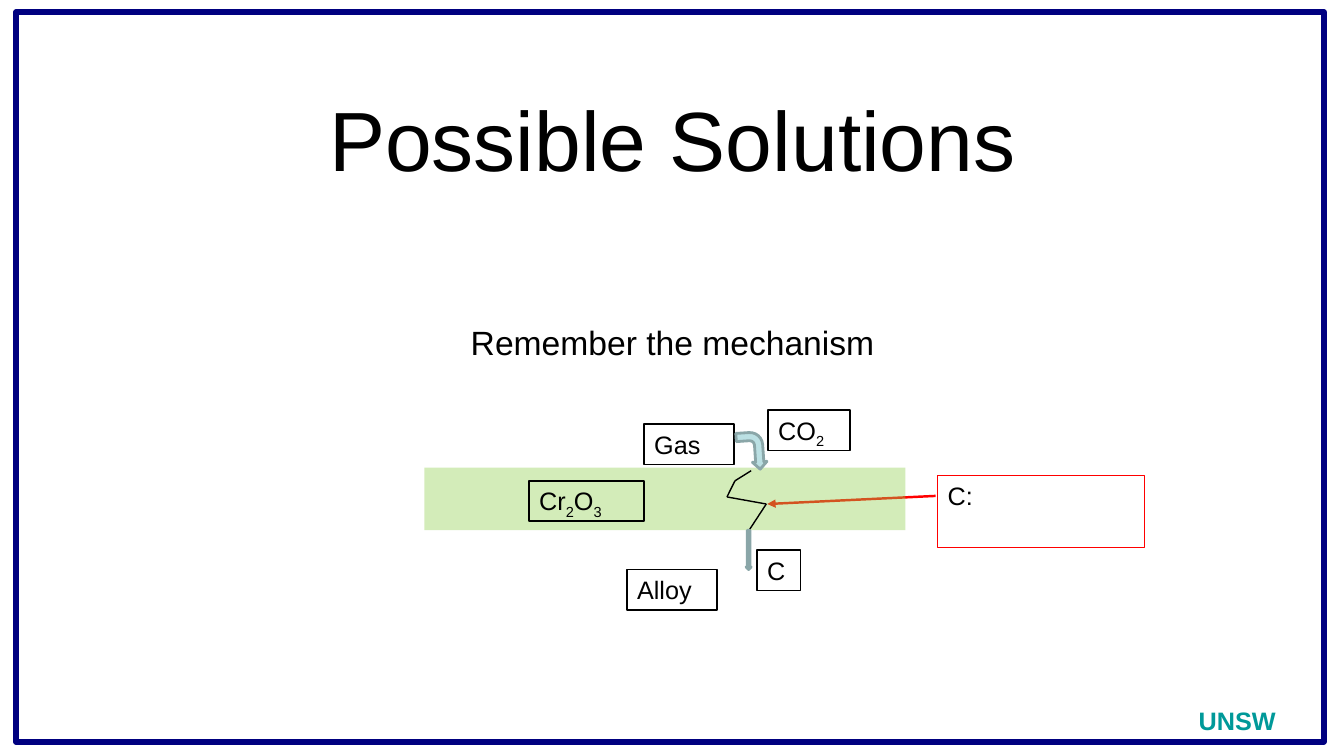
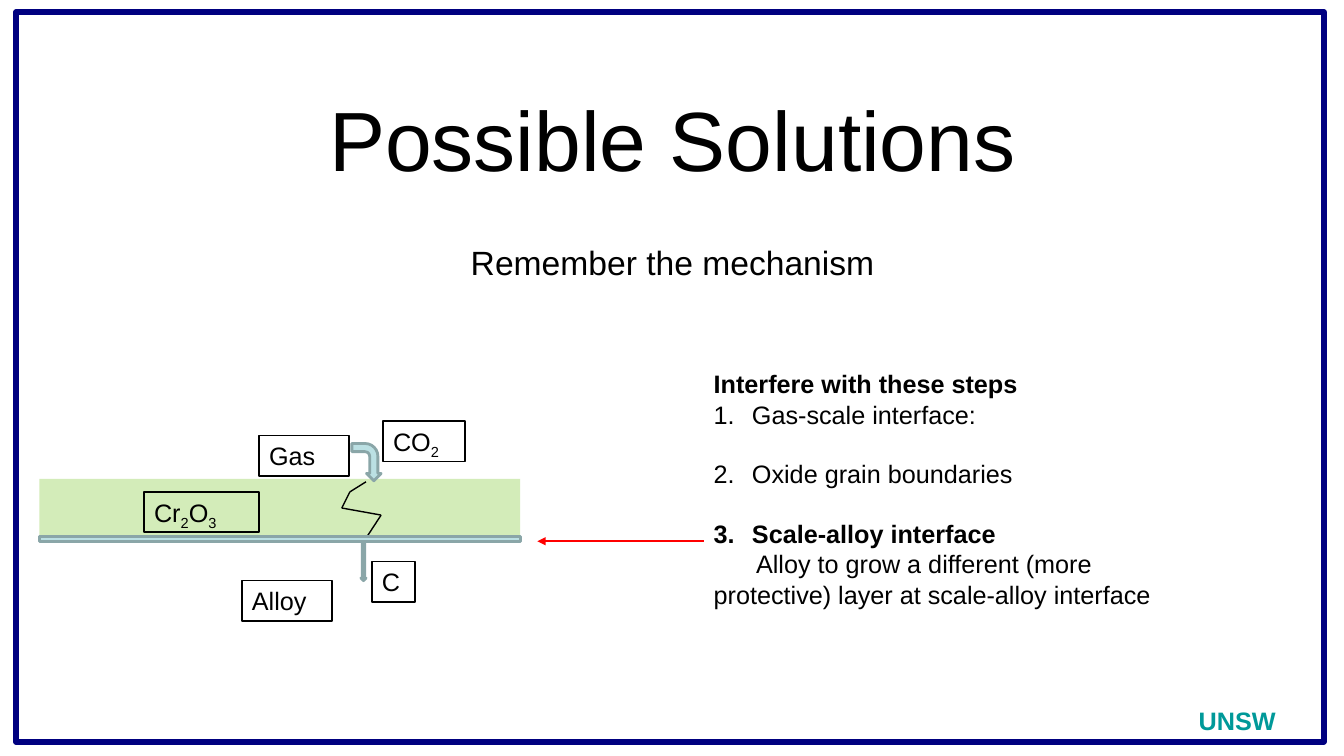
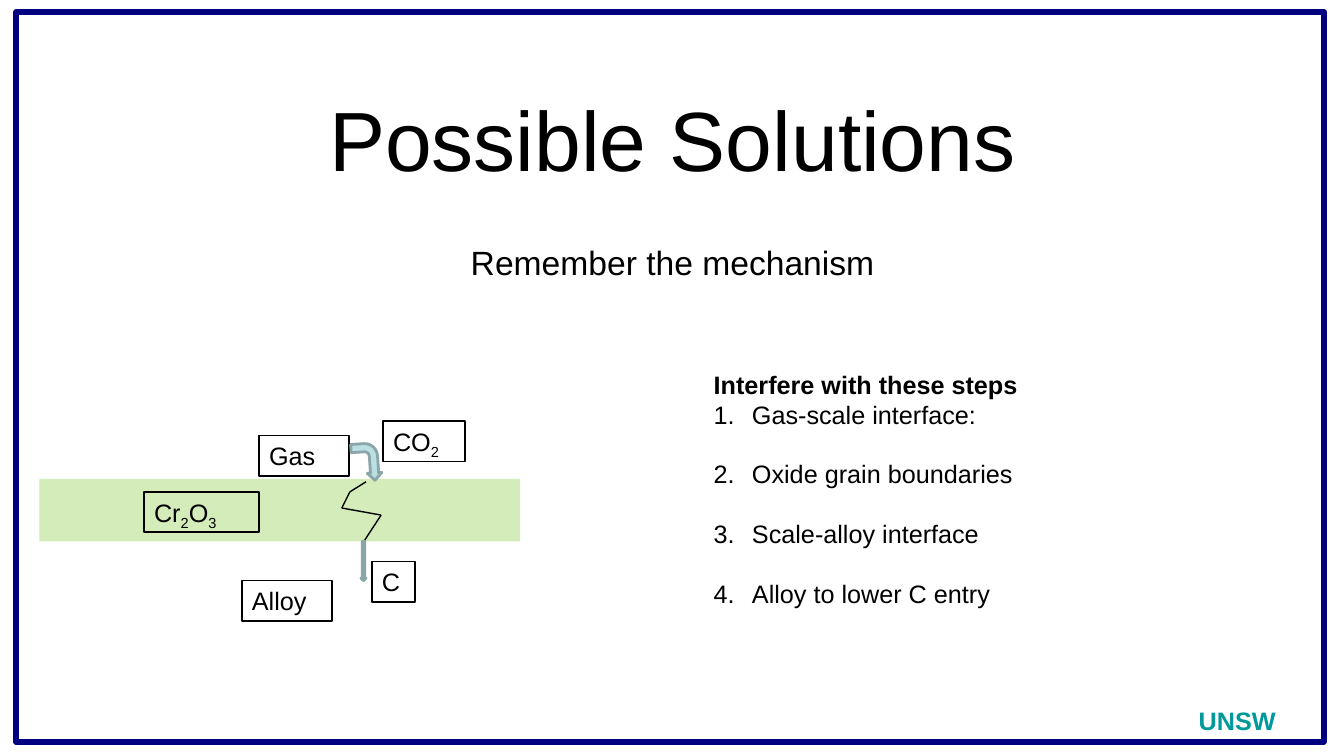
import itertools

import lxml.etree
import pptx
import pptx.dml.color
import pptx.enum.shapes
import pptx.enum.text
import pptx.oxml.ns
import pptx.util

Inches, Pt = pptx.util.Inches, pptx.util.Pt
SHAPE = pptx.enum.shapes.MSO_SHAPE
ALIGN = pptx.enum.text.PP_ALIGN
ANCHOR = pptx.enum.text.MSO_ANCHOR

FONT = "Arial"
BLACK, RED, NAVY, TEAL = "000000", "FF0000", "000080", "009999"
GREEN, PALE_BLUE, GREY_BLUE = "92D050", "BBE0E3", "8AA6A8"
BAND_W, BAND_H = 4.77, 0.62
LABEL_H = 0.4
LINE_GAP = 21


def rgb(hex_text):
    return pptx.dml.color.RGBColor.from_string(hex_text)


def add_xml(parent, tag, **attributes):
    child = lxml.etree.SubElement(parent, pptx.oxml.ns.qn(tag))
    for name, value in attributes.items():
        child.set(name, str(value))
    return child


def style_run(r, size=18, color=BLACK, bold=False):
    r.font.name, r.font.size, r.font.bold = FONT, Pt(size), bold
    r.font.color.rgb = rgb(color)


def add_box(shapes, kind, x, y, w, h, fill=None, line=None, width=1.0):
    sp = shapes.add_shape(kind, Inches(x), Inches(y), Inches(w), Inches(h))
    sp.shadow.inherit = False
    if fill:
        sp.fill.solid()
        sp.fill.fore_color.rgb = rgb(fill)
    else:
        sp.fill.background()
    if line:
        sp.line.color.rgb = rgb(line)
        sp.line.width = Pt(width)
    else:
        sp.line.fill.background()
    return sp


def add_line(shapes, start, end, color=BLACK, width=1.0, arrow=False):
    x1, y1, x2, y2 = map(Inches, (*start, *end))
    cn = shapes.add_connector(pptx.enum.shapes.MSO_CONNECTOR.STRAIGHT, x1, y1, x2, y2)
    cn.line.color.rgb = rgb(color)
    cn.line.width = Pt(width)
    if arrow:
        add_xml(cn.line._get_or_add_ln(), "a:tailEnd", type="triangle")
    add_xml(cn._element.spPr, "a:effectLst")


def add_text(s, text, x, y, w, h, size, color=BLACK, bold=False,
             align=ALIGN.LEFT, anchor=ANCHOR.TOP):
    tf = s.shapes.add_textbox(Inches(x), Inches(y), Inches(w), Inches(h)).text_frame
    tf.word_wrap = True
    tf.vertical_anchor = anchor
    p = tf.paragraphs[0]
    p.text = text
    p.alignment = align
    style_run(p.runs[0], size, color, bold)


def add_label(shapes, text, x, y, w, h=LABEL_H, line=BLACK, width=1.25):
    """Outlined label whose digits are set as subscripts."""
    sp = add_box(shapes, SHAPE.RECTANGLE, x, y, w, h, line=line, width=width)
    tf = sp.text_frame
    tf.word_wrap = True
    tf.vertical_anchor = ANCHOR.TOP
    p = tf.paragraphs[0]
    p.alignment = ALIGN.LEFT
    for is_digit, chars in itertools.groupby(text, str.isdigit):
        r = p.add_run()
        r.text = "".join(chars)
        style_run(r)
        if is_digit:
            r._r.get_or_add_rPr().set("baseline", "-25000")


def add_base_slide(prs, subtitle_top):
    s = prs.slides.add_slide(prs.slide_layouts[6])
    add_box(s.shapes, SHAPE.RECTANGLE, 0.16, 0.12, 12.97, 7.24, line=NAVY, width=4)
    add_text(s, "UNSW", 11.79, 6.95, 1.37, 0.4, 18, TEAL, bold=True)
    add_text(s, "Possible Solutions", 1.17, 0.73, 11, 1.19, 60,
             align=ALIGN.CENTER, anchor=ANCHOR.BOTTOM)
    add_text(s, "Remember the mechanism", 1.67, subtitle_top, 10, 1.81, 24,
             align=ALIGN.CENTER)
    return s


def add_mechanism(s, x, y, bend=86.1):
    """Gas, oxide scale and alloy, with the oxide band's corner at x, y."""
    shapes = s.shapes.add_group_shape().shapes
    band = add_box(shapes, SHAPE.RECTANGLE, x, y, BAND_W, BAND_H, fill=GREEN)
    color = band._element.spPr.find(".//" + pptx.oxml.ns.qn("a:srgbClr"))
    add_xml(color, "a:alpha", val=40000)

    for text, dx, dy, w in (("Cr2O3", 1.04, 0.13, 1.14), ("Gas", 2.18, -0.43, 0.89),
                            ("Alloy", 2.01, 1.01, 0.89), ("CO2", 3.41, -0.57, 0.81),
                            ("C", 3.3, 0.82, 0.43)):
        add_label(shapes, text, x + dx, y + dy, w)

    gas_arrow = add_box(shapes, SHAPE.BENT_ARROW, x + 3.06, y - 0.31, 0.37, 0.29,
                        PALE_BLUE, GREY_BLUE, 2)
    gas_arrow.rotation = bend
    for i, value in enumerate((0.28, 0.25, 0.25, 0.44)):
        gas_arrow.adjustments[i] = value

    crack = [(x + dx, y + dy) for dx, dy in
             ((3.24, 0.03), (3.08, 0.13), (3, 0.29), (3.39, 0.36), (3.22, BAND_H))]
    for start, end in zip(crack, crack[1:]):
        add_line(shapes, start, end)
    add_box(shapes, SHAPE.DOWN_ARROW, x + 3.19, y + BAND_H, 0.05, 0.39,
            PALE_BLUE, GREY_BLUE, 2)


def add_steps(s, x, y, w, h, steps, bold_step=None, detail=None):
    """Heading, numbered steps and an optional closing detail."""
    tf = s.shapes.add_textbox(Inches(x), Inches(y), Inches(w), Inches(h)).text_frame
    tf.word_wrap = True
    p = tf.paragraphs[0]
    p.text = "Interfere with these steps"
    style_run(p.runs[0], bold=True)
    for i, step in enumerate(steps):
        p = tf.add_paragraph()
        p.text = step
        p.space_before = Pt(LINE_GAP if i else 0)
        pPr = p._p.get_or_add_pPr()
        pPr.set("marL", str(Inches(0.38)))
        pPr.set("indent", str(-Inches(0.38)))
        add_xml(pPr, "a:buFont", typeface="+mj-lt")
        add_xml(pPr, "a:buAutoNum", type="arabicPeriod")
        style_run(p.runs[0], bold=step == bold_step)
    if detail:
        p = tf.add_paragraph()
        p.text = detail
        p._p.get_or_add_pPr().set("indent", str(Inches(0.42)))
        style_run(p.runs[0])


def main():
    prs = pptx.Presentation()
    prs.slide_width, prs.slide_height = Inches(13.33), Inches(7.5)
    steps = ["Gas-scale interface:", "Oxide grain boundaries", "Scale-alloy interface"]
    band_x, band_y = 0.39, 4.75
    steps_x, steps_y, steps_w = 6.98, 3.61, 4.75

    s = add_base_slide(prs, 3.14)
    add_line(s.shapes, (9.28, 4.92), (7.61, 5), RED, 1.75, arrow=True)
    add_label(s.shapes, "C:", 9.3, 4.72, 2.05, 0.71, RED, 1)
    add_mechanism(s, 4.21, 4.64)

    s = add_base_slide(prs, 2.35)
    add_mechanism(s, band_x, band_y, bend=90)
    add_steps(s, steps_x, steps_y, steps_w, 2.83, steps, bold_step=steps[-1],
              detail="Alloy to grow a different (more protective) layer "
                     "at scale-alloy interface")
    layer_h = 0.05
    add_box(s.shapes, SHAPE.RECTANGLE, band_x, band_y + BAND_H - layer_h,
            BAND_W, layer_h, PALE_BLUE, GREY_BLUE, 2)
    add_line(s.shapes, (steps_x, band_y + BAND_H), (5.33, band_y + BAND_H),
             RED, 1.75, arrow=True)

    s = add_base_slide(prs, 2.35)
    add_mechanism(s, band_x, band_y)
    add_steps(s, steps_x, steps_y, steps_w, 2.52, steps + ["Alloy to lower C entry"])

    prs.save("out.pptx")


if __name__ == "__main__":
    main()
